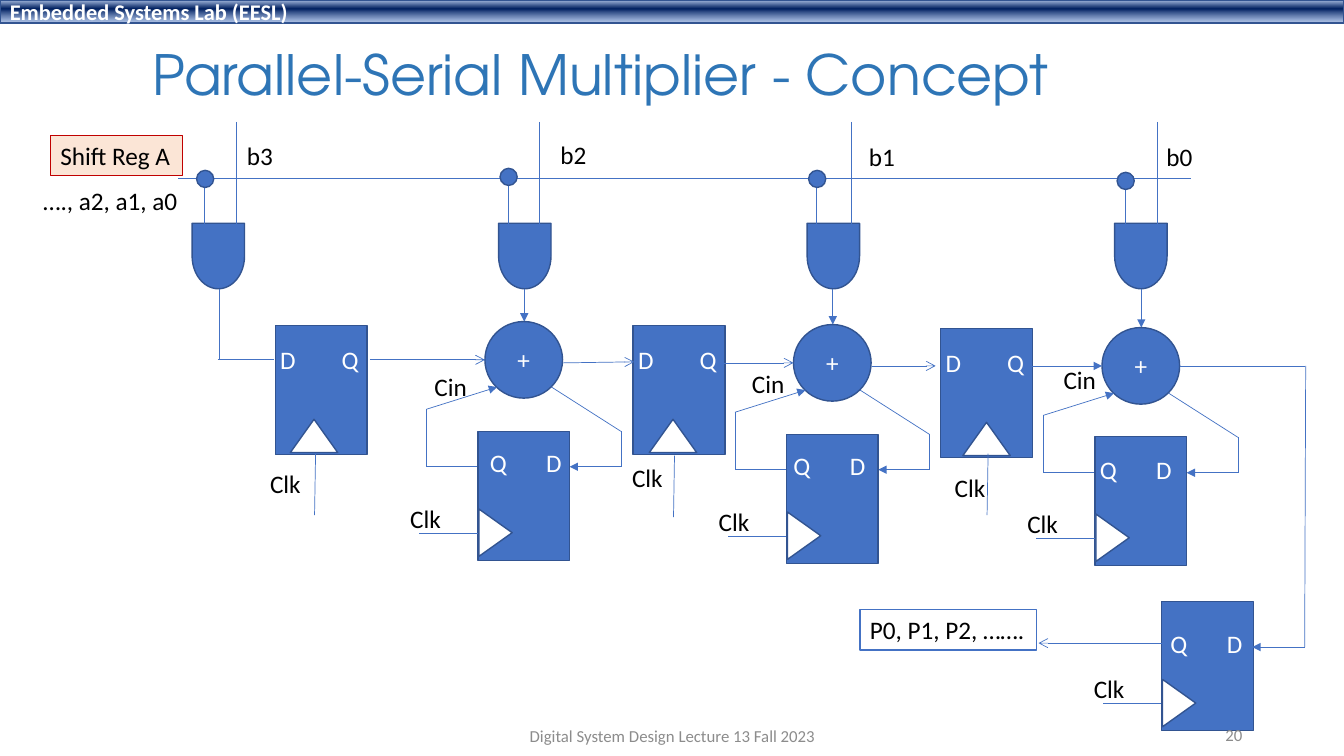
from lxml import etree
from pptx import Presentation
from pptx.dml.color import RGBColor
from pptx.enum.shapes import MSO_CONNECTOR, MSO_SHAPE as Shape
from pptx.enum.text import MSO_ANCHOR as Anchor, PP_ALIGN as Align
from pptx.oxml import parse_xml
from pptx.oxml.ns import qn
from pptx.util import Inches, Pt

COLORS = {"blue": "4472C4", "edge": "325491", "white": "FFFFFF", "black": "000000",
          "title": "2E75B6", "peach": "FBE5D6", "red": "C00000", "grey": "8C8C8C"}

deck = Presentation()
deck.slide_width, deck.slide_height = Inches(13.33), Inches(7.5)
page = deck.slides.add_slide(deck.slide_layouts[6])


def draw_box(kind, at, text="", fill="blue", line="edge", weight=1, color="black", size=18,
             font="Calibri", bold=False, align=Align.LEFT, anchor=Anchor.TOP, turn=0, tab=None):
    """Add a preset shape, or a plain text box when kind is None."""
    place = [Inches(value) for value in at]
    if kind is None:
        box = page.shapes.add_textbox(*place)
    else:
        box = page.shapes.add_shape(kind, *place)
        box.shadow.inherit = False
        box.fill.solid()
        box.fill.fore_color.rgb = RGBColor.from_string(COLORS[fill])
        box.line.color.rgb = RGBColor.from_string(COLORS[line])
        box.line.width = Pt(weight)
        box.rotation = turn
    if text:
        frame = box.text_frame
        frame.word_wrap = True
        frame.vertical_anchor = anchor
        if align == Align.LEFT:
            frame.margin_right = 0
        para = frame.paragraphs[0]
        para.text = text
        para.alignment = align
        if tab:
            stops = etree.SubElement(para._p.get_or_add_pPr(), qn("a:tabLst"))
            etree.SubElement(stops, qn("a:tab"), pos=str(Inches(tab)), algn="l")
        for span in para.runs:
            span.font.name, span.font.size, span.font.bold = font, Pt(size), bold
            span.font.color.rgb = RGBColor.from_string(COLORS[color])
    return box


def draw_wire(x1, y1, x2, y2, head=None):
    """Add a thin straight wire with an optional arrowhead at its end."""
    wire = page.shapes.add_connector(MSO_CONNECTOR.STRAIGHT, Inches(x1), Inches(y1),
                                     Inches(x2), Inches(y2))
    wire.line.color.rgb = RGBColor.from_string(COLORS["blue"])
    wire.line.width = Pt(0.5)
    if head:
        etree.SubElement(wire.line._get_or_add_ln(), qn("a:tailEnd"), type=head)
    etree.SubElement(wire._element.spPr, qn("a:effectLst"))


# Header band with a three-stop gradient
band = draw_box(Shape.RECTANGLE, (0, 0, 13.33, 0.23), "Embedded Systems Lab (EESL)",
                color="white", size=16, bold=True, anchor=Anchor.MIDDLE)
solid = band._element.spPr.find(qn("a:solidFill"))
solid.getparent().replace(solid, parse_xml(
    '<a:gradFill xmlns:a="http://schemas.openxmlformats.org/drawingml/2006/main"><a:gsLst>'
    '<a:gs pos="2000"><a:srgbClr val="ABC0E4"/></a:gs>'
    '<a:gs pos="38000"><a:srgbClr val="002060"/></a:gs>'
    '<a:gs pos="93000"><a:srgbClr val="7E9ED6"><a:alpha val="64000"/></a:srgbClr></a:gs>'
    '</a:gsLst><a:lin ang="5400000" scaled="0"/></a:gradFill>'))

# Title
title = draw_box(None, (1.41, 0.25, 9.33, 1.04), "Parallel-Serial Multiplier - Concept",
                 color="title", size=39.6, font="TeX Gyre Adventor", anchor=Anchor.MIDDLE)
title.text_frame.paragraphs[0].line_spacing = 0.9

# Shift register input and serial bus
draw_wire(1.77, 1.77, 11.81, 1.77)
draw_box(Shape.RECTANGLE, (0.5, 1.34, 1.31, 0.4), "Shift Reg A", "peach", "red", 0.75)
draw_box(None, (0.33, 1.79, 1.6, 0.4), "…., a2, a1, a0")

# AND gates: gate left, bit wire x, tap x, dot top, bit name and its position
gates = [(1.84, 2.34, 2.03, 1.69, "b3", 2.35, 1.34),
         (4.88, 5.35, 5.04, 1.67, "b2", 5.46, 1.33),
         (7.94, 8.44, 8.10, 1.69, "b1", 8.52, 1.35),
         (10.99, 11.48, 11.16, 1.71, "b0", 11.47, 1.35)]
for gate_x, bit_x, tap_x, dot_y, bit, label_x, label_y in gates:
    draw_box(Shape.FLOWCHART_DELAY, (gate_x, 2.28, 0.65, 0.52), turn=90)
    draw_wire(bit_x, 1.21, bit_x, 2.22)
    draw_wire(tap_x, 1.77, tap_x, 2.22)
    draw_box(Shape.OVAL, (tap_x - 0.08, dot_y, 0.17, 0.17))
    draw_box(None, (label_x, label_y, 0.46, 0.4), bit)
draw_wire(2.18, 2.87, 2.18, 3.57)
draw_wire(2.16, 3.57, 2.72, 3.57)

# Sum registers: left, top, clock wire x and top, Clk label position
registers = [(2.73, 3.23, 3.13, 4.50, 2.58, 4.60),
             (6.28, 3.23, 6.69, 4.52, 6.17, 4.54),
             (9.33, 3.26, 9.80, 4.50, 9.37, 4.64)]
for x, y, clock_x, clock_y, label_x, label_y in registers:
    draw_box(Shape.RECTANGLE, (x, y, 0.91, 1.28))
    draw_box(Shape.ISOSCELES_TRIANGLE, (clock_x - 0.25, y + 0.93, 0.47, 0.33), fill="white")
    draw_box(None, (x - 0.05, y + 0.14, 0.99, 0.4), "D\tQ", color="white", tab=0.61)
    draw_wire(clock_x, clock_y, clock_x - 0.01, clock_y + 0.61)
    draw_box(None, (label_x, label_y, 0.51, 0.4), "Clk")

# Adders with their carry loops
carry_labels = [(4.21, 3.63), (7.36, 3.60), (10.45, 3.57)]
for stage, (label_x, label_y) in enumerate(carry_labels):
    x, y = 4.81 + 3.06 * stage, 3.19 + 0.03 * stage
    draw_wire(x + 0.39, 2.87, x + 0.39, y, "triangle")
    draw_box(Shape.OVAL, (x, y, 0.77, 0.76), "+", color="white",
             align=Align.CENTER, anchor=Anchor.MIDDLE)
    draw_wire(x + 0.66, y + 0.65, x + 1.35, y + 1.09)
    draw_wire(x + 1.35, y + 1.09, x + 1.35, y + 1.44)
    draw_wire(x + 1.35, y + 1.44, x + 0.84, y + 1.44, "triangle")
    draw_wire(x - 0.07, y + 1.44, x - 0.58, y + 1.44)
    draw_wire(x - 0.58, y + 1.44, x - 0.58, y + 0.87)
    draw_wire(x - 0.58, y + 0.87, x + 0.12, y + 0.65, "triangle")
    draw_box(None, (label_x, label_y, 0.53, 0.4), "Cin")

# Carry registers and the output register: left, top, Q/D label position
flip_flops = [(4.74, 4.28, 4.76, 4.39), (7.80, 4.31, 7.77, 4.42),
              (10.86, 4.33, 10.81, 4.46), (11.52, 5.97, 11.51, 6.18)]
for x, y, label_x, label_y in flip_flops:
    draw_box(Shape.RECTANGLE, (x, y, 0.91, 1.28))
    draw_box(Shape.ISOSCELES_TRIANGLE, (x - 0.06, y + 0.84, 0.47, 0.33), fill="white", turn=90)
    draw_box(None, (label_x, label_y, 0.93, 0.4), "Q\tD", color="white", tab=0.56)
    draw_wire(x, y + 1.01, x - 0.58, y + 1.01)
    draw_box(None, (x - 0.77, y + 0.66, 0.51, 0.4), "Clk")

# Wires along the adder chain
chain = [(3.67, 3.57, 4.81, 3.57, "arrow"), (5.58, 3.6, 6.29, 3.59, "arrow"),
         (7.16, 3.6, 7.87, 3.6, "arrow"), (8.65, 3.63, 9.28, 3.63, "arrow"),
         (10.23, 3.63, 10.93, 3.63, "triangle")]
for wire_ends in chain:
    draw_wire(*wire_ends)

# Serial output
draw_wire(11.7, 3.63, 12.94, 3.63)
draw_wire(12.95, 3.63, 12.94, 6.42)
draw_wire(12.94, 6.42, 12.42, 6.42, "triangle")
draw_wire(11.58, 6.38, 10.3, 6.38, "arrow")
draw_box(Shape.RECTANGLE, (8.53, 6.05, 1.75, 0.4), "P0, P1, P2, …….", "white", "blue")

# Footer and page number
draw_box(None, (4.42, 7.1, 4.5, 0.4), "Digital System Design Lecture 13 Fall 2023",
         color="grey", size=12, align=Align.CENTER, anchor=Anchor.MIDDLE)
draw_box(None, (9.42, 7.09, 3, 0.4), "20", color="grey", size=12,
         align=Align.RIGHT, anchor=Anchor.MIDDLE)

deck.save("out.pptx")
